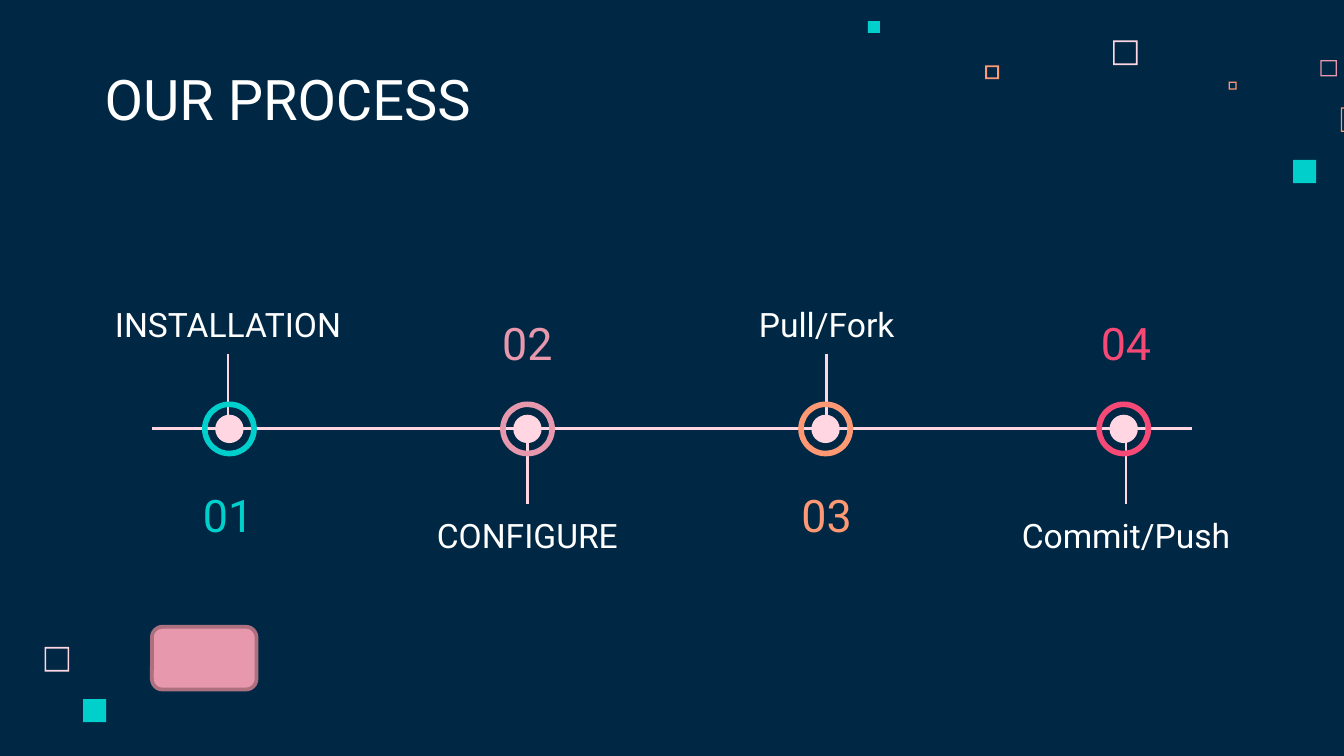
from lxml import etree
from pptx import Presentation
from pptx.dml.color import RGBColor
from pptx.enum.shapes import MSO_CONNECTOR, MSO_SHAPE
from pptx.enum.text import MSO_ANCHOR, PP_ALIGN
from pptx.oxml.ns import qn
from pptx.util import Pt

TOP, MIDDLE, BOTTOM = MSO_ANCHOR.TOP, MSO_ANCHOR.MIDDLE, MSO_ANCHOR.BOTTOM
LEFT, CENTER = PP_ALIGN.LEFT, PP_ALIGN.CENTER
OVAL, DONUT, FRAME = MSO_SHAPE.OVAL, MSO_SHAPE.DONUT, MSO_SHAPE.FRAME
RECT, ROUNDED = MSO_SHAPE.RECTANGLE, MSO_SHAPE.ROUNDED_RECTANGLE

COLORS = {
    "navy": "002845", "white": "FFFFFF", "blush": "FFD6E1", "teal": "00CFCC",
    "pink": "E898AC", "orange": "FF9973", "red": "F64975", "mauve": "AC707F",
}
FONT = "Roboto"
TITLE = "OUR PROCESS"
STEPS = [
    ("01", "INSTALLATION", "teal"),
    ("02", "CONFIGURE", "pink"),
    ("03", "Pull/Fork", "orange"),
    ("04", "Commit/Push", "red"),
]
HOLLOW_SQUARES = [
    (596.3, 21.7, 13.2, 0.9, "blush"),
    (707.4, 32.2, 8.8, 0.7, "pink"),
    (658.2, 43.7, 4.3, 0.7, "orange"),
    (718.3, 57.5, 13.2, 0.7, "orange"),
    (527.8, 35, 7.4, 1, "orange"),
    (23.9, 346.6, 13.2, 0.9, "blush"),
]
SOLID_SQUARES = [(692.7, 85.7, 12.4), (465, 11.3, 6.4), (44.5, 374.5, 12.4)]

AXIS_Y = 229.8
RING, DOT = 29.4, 15.2
FIRST_RING, RING_PITCH = 122.9, 159.7
FIRST_LABEL, LABEL_PITCH = 122.2, 160.35
LABEL_W, NUMBER_W, TEXT_H = 148.4, 101.6, 33.9


def rgb(name):
    return RGBColor.from_string(COLORS[name])


def add_shape(s, kind, x, y, w, h, fill, adjust=None):
    sp = s.shapes.add_shape(kind, Pt(x), Pt(y), Pt(w), Pt(h))
    sp.shadow.inherit = False
    sp.fill.solid()
    sp.fill.fore_color.rgb = rgb(fill)
    sp.line.fill.background()
    if adjust is not None:
        sp.adjustments[0] = adjust
    return sp


def add_disc(s, kind, cx, size, fill, adjust=None):
    add_shape(s, kind, cx - size / 2, AXIS_Y - size / 2, size, size, fill, adjust)


def add_line(s, x1, y1, x2, y2):
    line = s.shapes.add_connector(MSO_CONNECTOR.STRAIGHT, Pt(x1), Pt(y1), Pt(x2), Pt(y2))
    line.line.color.rgb = rgb("blush")
    line.line.width = Pt(1.5)
    etree.SubElement(line._element.spPr, qn("a:effectLst"))


def add_text(s, text, x, y, w, h, size, color, anchor, align=CENTER):
    tf = s.shapes.add_textbox(Pt(x), Pt(y), Pt(w), Pt(h)).text_frame
    tf.word_wrap = True
    tf.vertical_anchor = anchor
    tf.margin_left = tf.margin_right = tf.margin_top = tf.margin_bottom = Pt(7.2)
    p = tf.paragraphs[0]
    p.text = text
    p.alignment = align
    p.font.name = FONT
    p.font.size = Pt(size)
    p.font.color.rgb = rgb(color)


def main():
    prs = Presentation()
    prs.slide_width, prs.slide_height = Pt(720), Pt(405)
    s = prs.slides.add_slide(prs.slide_layouts[6])
    s.background.fill.solid()
    s.background.fill.fore_color.rgb = rgb("navy")

    for x, y, size, border, color in HOLLOW_SQUARES:
        add_shape(s, FRAME, x, y, size, size, color, border / size)
    for x, y, size in SOLID_SQUARES:
        add_shape(s, RECT, x, y, size, size, "teal")

    add_text(s, TITLE, 49, 32.4, 372.2, 45.4, 30, "white", BOTTOM, LEFT)

    add_line(s, 81.4, AXIS_Y, 638.6, AXIS_Y)
    for i, (number, label, color) in enumerate(STEPS):
        ring_x = FIRST_RING + i * RING_PITCH
        x = FIRST_LABEL + i * LABEL_PITCH
        if i % 2 == 0:
            stem, label_y, anchor, number_y = (189.4, 225.4), 155.5, TOP, 258.9
        else:
            stem, label_y, anchor, number_y = (234.7, 270), 270.9, BOTTOM, 166.6
        add_line(s, x, stem[0], x, stem[1])
        add_disc(s, OVAL, ring_x, DOT, "blush")
        add_disc(s, DONUT, ring_x, RING, color, 0.102)
        add_text(s, label, x - LABEL_W / 2, label_y, LABEL_W, TEXT_H, 18, "white", anchor)
        add_text(s, number, x - NUMBER_W / 2, number_y, NUMBER_W, TEXT_H, 24, color, MIDDLE)

    button = add_shape(s, ROUNDED, 81.4, 335.8, 56, 33.6, "pink")
    button.line.color.rgb = rgb("mauve")
    button.line.width = Pt(2)

    prs.save("out.pptx")


if __name__ == "__main__":
    main()
